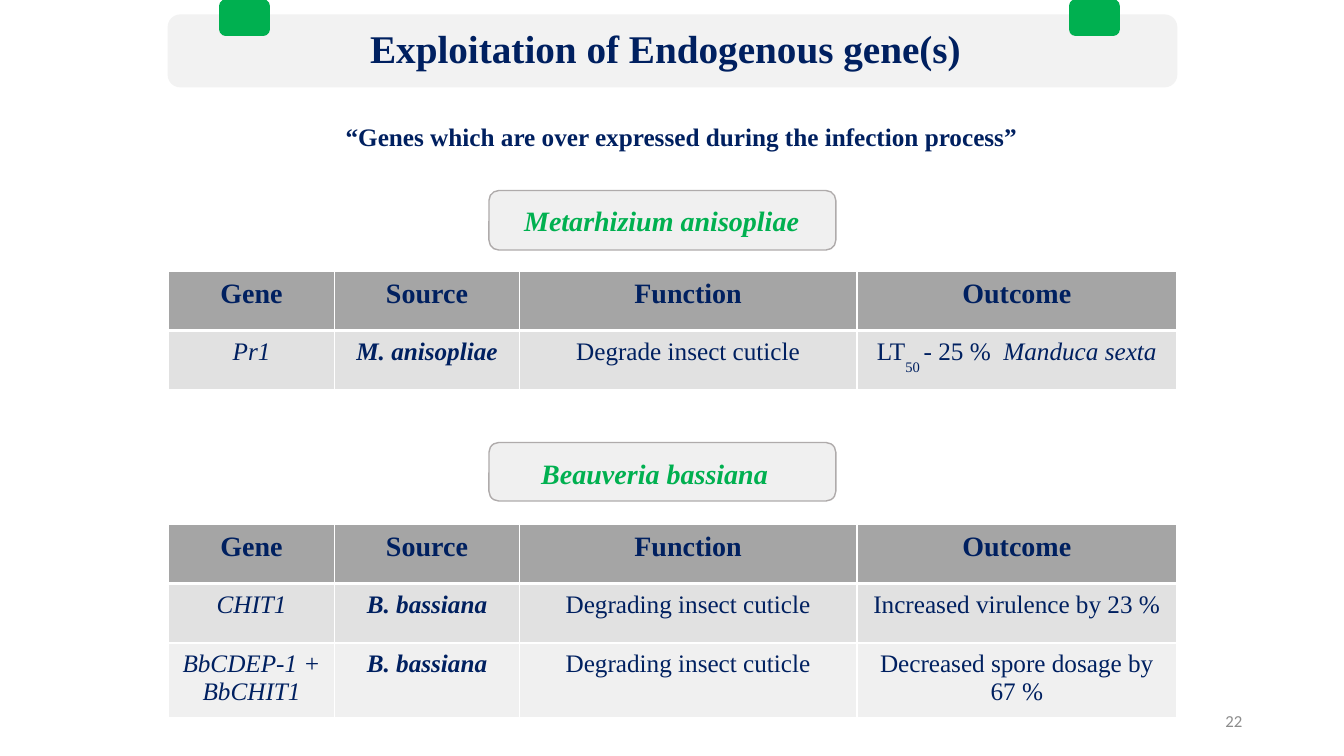
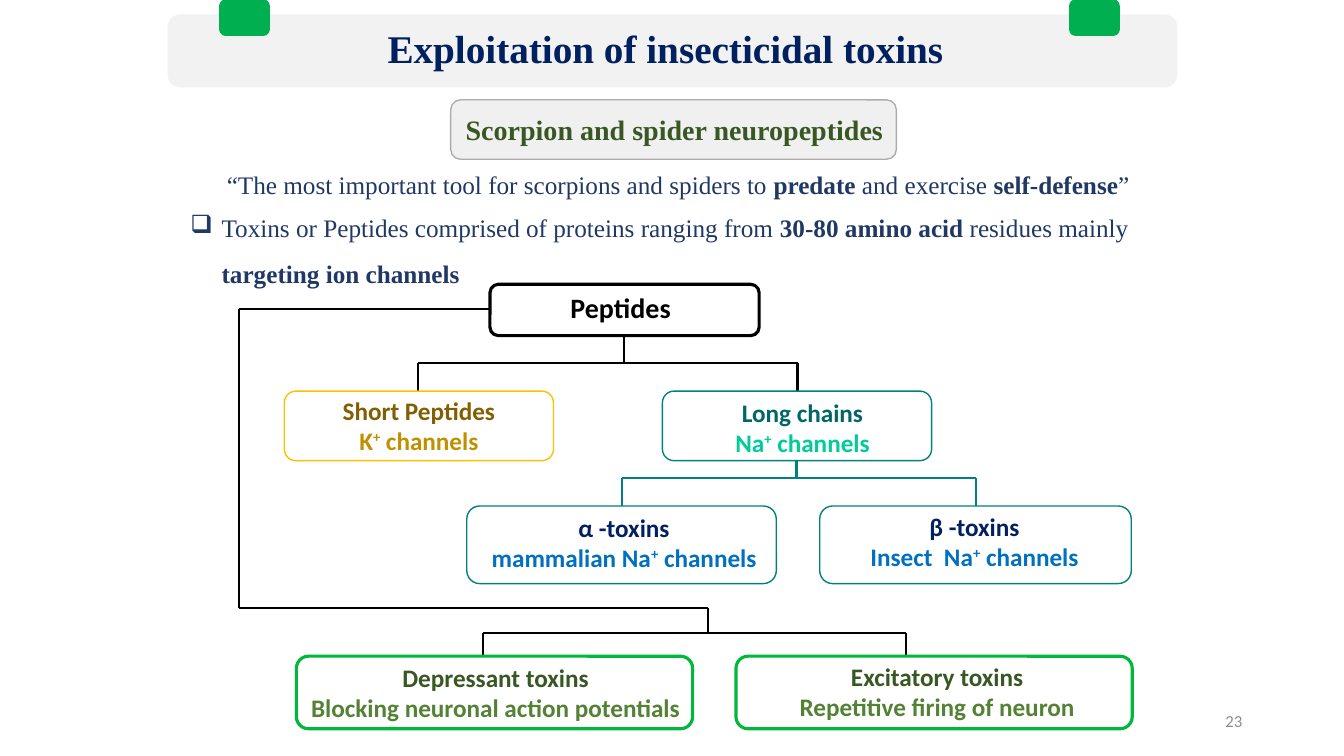
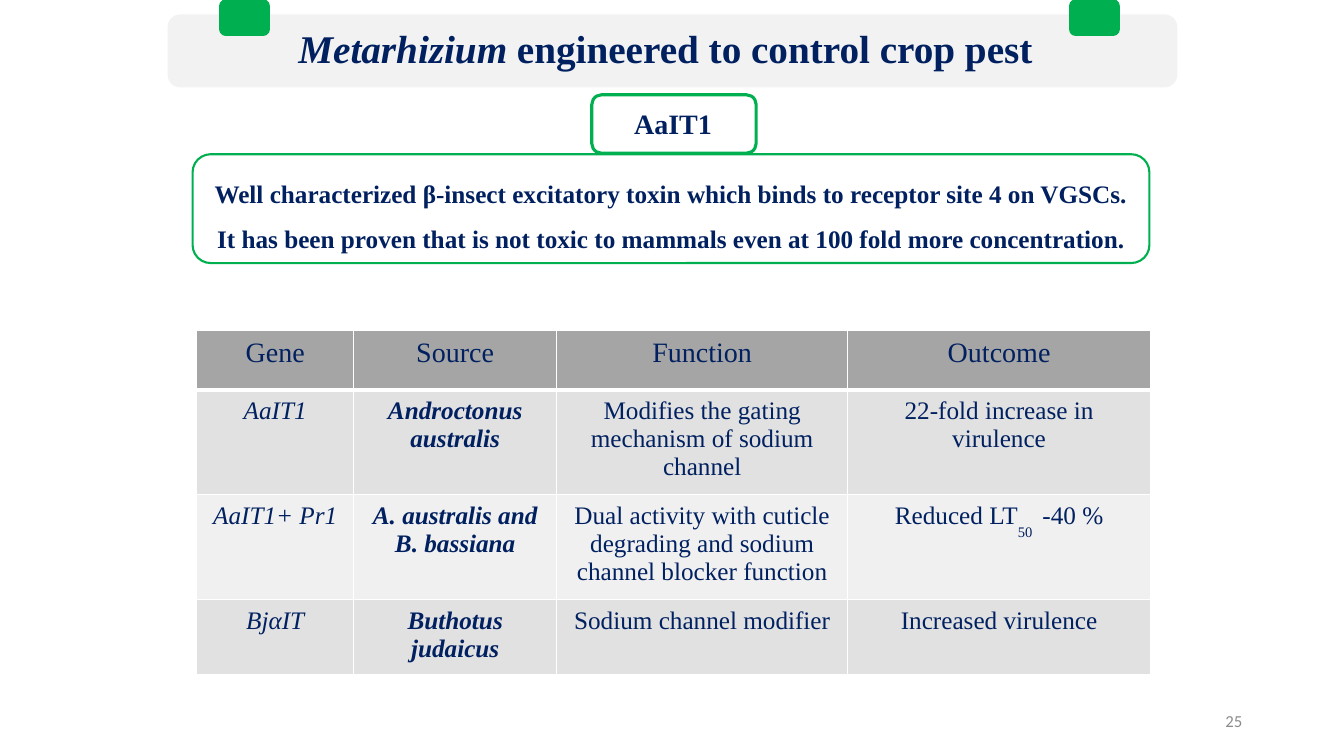
from lxml.etree import SubElement
from pptx import Presentation
from pptx.dml.color import RGBColor
from pptx.enum.shapes import MSO_CONNECTOR, MSO_SHAPE
from pptx.enum.text import MSO_ANCHOR, MSO_AUTO_SIZE, PP_ALIGN
from pptx.oxml.ns import qn
from pptx.util import Inches, Pt

SERIF, SANS = "Times New Roman", "Calibri"
BLACK = RGBColor(0x00, 0x00, 0x00)
NAVY = RGBColor(0x00, 0x20, 0x60)
SLATE = RGBColor(0x20, 0x38, 0x64)
BLUE = RGBColor(0x00, 0x70, 0xC0)
GREEN = RGBColor(0x00, 0xB0, 0x50)
BRIGHT_GREEN = RGBColor(0x00, 0xB8, 0x39)
DARK_GREEN = RGBColor(0x38, 0x57, 0x23)
LEAF = RGBColor(0x54, 0x82, 0x35)
TEAL = RGBColor(0x00, 0x80, 0x80)
DARK_TEAL = RGBColor(0x00, 0x66, 0x66)
MINT = RGBColor(0x00, 0xCC, 0x99)
AMBER = RGBColor(0xFF, 0xC0, 0x00)
GOLD = RGBColor(0xBF, 0x90, 0x00)
BROWN = RGBColor(0x80, 0x60, 0x00)
BAND = RGBColor(0xF2, 0xF2, 0xF2)
LABEL_FILL = RGBColor(0xF0, 0xF0, 0xF0)
LABEL_LINE = RGBColor(0xAF, 0xAB, 0xAB)
PAGE_GRAY = RGBColor(0x8C, 0x8C, 0x8C)
HEADER_FILL = RGBColor(0xA5, 0xA5, 0xA5)
ROW_FILLS = (RGBColor(0xE1, 0xE1, 0xE1), LABEL_FILL)

# Run marks: b bold, i italic, ^ superscript, _ subscript
BASELINES = {"^": "30000", "_": "-50000"}


def add_box(slide, place, fill, line, weight):
    shape = slide.shapes.add_shape(MSO_SHAPE.ROUNDED_RECTANGLE, *map(Inches, place))
    shape.shadow.inherit = False
    if fill is None:
        shape.fill.background()
    else:
        shape.fill.solid()
        shape.fill.fore_color.rgb = fill
    shape.line.color.rgb = line
    shape.line.width = Pt(weight)


def write_text(text_frame, paragraphs, size, colors, font=SERIF,
               align=PP_ALIGN.CENTER, spacing=None, wrap=True):
    """Write paragraphs of (text, marks) runs, with one colour per paragraph."""
    text_frame.word_wrap = wrap
    if not wrap:
        text_frame.auto_size = MSO_AUTO_SIZE.SHAPE_TO_FIT_TEXT
    for index, (runs, color) in enumerate(zip(paragraphs, colors)):
        paragraph = text_frame.add_paragraph() if index else text_frame.paragraphs[0]
        paragraph.alignment = align
        paragraph.line_spacing = spacing
        for text, marks in runs:
            run = paragraph.add_run()
            run.text = text
            run.font.name = font
            run.font.size = Pt(size)
            run.font.color.rgb = color
            run.font.bold = "b" in marks
            run.font.italic = "i" in marks
            for mark in BASELINES:
                if mark in marks:
                    run.font._element.set("baseline", BASELINES[mark])


presentation = Presentation()
presentation.slide_width = Inches(13.33)
presentation.slide_height = Inches(7.5)

# Shared band, tabs, title and page number
titles = [
    ("22", [("Exploitation of Endogenous gene(s)", "b")]),
    ("23", [("Exploitation of insecticidal toxins", "b")]),
    ("25", [("Metarhizium", "bi"), (" engineered to control crop pest", "b")]),
]
for page, title in titles:
    slide = presentation.slides.add_slide(presentation.slide_layouts[6])
    add_box(slide, (1.67, 0.15, 10, 0.71), BAND, BAND, 1)
    for left in (2.18, 10.61):
        add_box(slide, (left, 0, 0.49, 0.35), GREEN, GREEN, 1)
    title_box = slide.shapes.add_textbox(Inches(2.1), Inches(0.24), Inches(9), Inches(0.56))
    write_text(title_box.text_frame, [title], 28, [NAVY], spacing=0.9)
    page_box = slide.shapes.add_textbox(Inches(9.42), Inches(6.95), Inches(3), Inches(0.4))
    page_box.text_frame.vertical_anchor = MSO_ANCHOR.MIDDLE
    write_text(page_box.text_frame, [[(page, "")]], 12, [PAGE_GRAY], SANS, PP_ALIGN.RIGHT)
genes_slide, toxins_slide, pest_slide = presentation.slides

# Label boxes
labels = [
    (genes_slide, (4.85, 1.89, 3.44, 0.59), LABEL_FILL, LABEL_LINE, 1),
    (genes_slide, (4.85, 4.39, 3.44, 0.58), LABEL_FILL, LABEL_LINE, 1),
    (toxins_slide, (4.47, 0.99, 4.42, 0.59), LABEL_FILL, LABEL_LINE, 1),
    (pest_slide, (1.91, 1.53, 9.49, 1.08), None, GREEN, 1.5),
    (pest_slide, (5.87, 0.94, 1.63, 0.58), None, GREEN, 2.25),
]
for label in labels:
    add_box(*label)

# One-line headings
headings = [
    (genes_slide, (3.33, 1.15, 6.93, 0.4), 18, NAVY, "b",
     "“Genes which are over expressed during the infection process”"),
    (genes_slide, (5.1, 1.97, 2.94, 0.44), 20, GREEN, "bi", "Metarhizium anisopliae"),
    (genes_slide, (5.27, 4.48, 2.47, 0.44), 20, GREEN, "bi", "Beauveria bassiana"),
    (toxins_slide, (4.52, 1.07, 4.38, 0.44), 20, DARK_GREEN, "b",
     "Scorpion and spider neuropeptides"),
    (pest_slide, (6.19, 1.01, 0.98, 0.44), 20, NAVY, "b", "AaIT1"),
]
for slide, place, size, color, marks, text in headings:
    text_box = slide.shapes.add_textbox(*map(Inches, place))
    write_text(text_box.text_frame, [[(text, marks)]], size, [color],
               align=PP_ALIGN.LEFT, wrap=False)

# Tables
gene_widths = (1.65, 1.83, 3.35, 3.17)
tables = [
    (genes_slide, 1.67, 2.69, gene_widths, (0.59, 0.59), True, [
        ("Pr1", "M. anisopliae", "Degrade insect cuticle",
         [("LT", ""), ("50 ", "_"), ("- 25 %  ", ""), ("Manduca sexta", "i")]),
    ]),
    (genes_slide, 1.67, 5.2, gene_widths, (0.59, 0.59, 0.74), True, [
        ("CHIT1", "B. bassiana", "Degrading insect cuticle", "Increased virulence by 23 %"),
        ("BbCDEP-1 + BbCHIT1", "B. bassiana", "Degrading insect cuticle",
         "Decreased spore dosage by 67 %"),
    ]),
    (pest_slide, 1.95, 3.28, (1.56, 2.01, 2.89, 3), (0.59, 1.04, 1.04, 0.74), False, [
        ("AaIT1", "Androctonus australis", "Modifies the gating mechanism of sodium channel",
         "22-fold increase in virulence"),
        ("AaIT1+ Pr1", "A. australis and B. bassiana",
         "Dual activity with cuticle degrading and sodium channel blocker function",
         [("Reduced LT", ""), ("50 ", "_"), (" -40 %", "")]),
        ("BjαIT", "Buthotus judaicus", "Sodium channel modifier", "Increased virulence"),
    ]),
]
for slide, left, top, widths, heights, strong_header, body in tables:
    frame = slide.shapes.add_table(len(heights), len(widths), Inches(left), Inches(top),
                                   Inches(sum(widths)), Inches(sum(heights)))
    table = frame.table
    table.first_row = table.horz_banding = False
    for column, width in zip(table.columns, widths):
        column.width = Inches(width)
    rows = [("Gene", "Source", "Function", "Outcome")] + body
    for row_index, (height, values) in enumerate(zip(heights, rows)):
        table.rows[row_index].height = Inches(height)
        is_header = row_index == 0
        header_marks = "b" if strong_header else ""
        column_marks = (header_marks,) * 4 if is_header else ("i", "bi", "", "")
        top_weight = 3 if row_index == 1 and strong_header else 1
        borders = {"a:lnL": 1, "a:lnR": 1, "a:lnT": top_weight, "a:lnB": 3 if is_header else 1}
        for column_index, (value, marks) in enumerate(zip(values, column_marks)):
            cell = table.cell(row_index, column_index)
            cell.margin_left = cell.margin_right = Inches(0.14)
            cell.margin_top = cell.margin_bottom = Inches(0.07)
            for tag, weight in borders.items():
                border = SubElement(cell._tc.get_or_add_tcPr(), qn(tag), w=str(Pt(weight)))
                border_fill = SubElement(border, qn("a:solidFill"))
                SubElement(border_fill, qn("a:srgbClr"), val="FFFFFF")
            cell.fill.solid()
            cell.fill.fore_color.rgb = HEADER_FILL if is_header else ROW_FILLS[(row_index - 1) % 2]
            runs = [(value, marks)] if isinstance(value, str) else value
            write_text(cell.text_frame, [runs], 20 if is_header else 18, [NAVY])

# Toxins: quotation and bullet
quote_box = toxins_slide.shapes.add_textbox(Inches(1.79), Inches(1.48), Inches(9.87), Inches(0.56))
quote = [("“The most important tool for scorpions and spiders to ", ""), ("predate", "b"),
         (" and exercise ", ""), ("self-defense", "b"), ("”", "")]
write_text(quote_box.text_frame, [quote], 18, [SLATE], spacing=1.5)

bullet_box = toxins_slide.shapes.add_textbox(Inches(1.79), Inches(1.91), Inches(9.87), Inches(1.01))
bullet_properties = bullet_box.text_frame.paragraphs[0]._p.get_or_add_pPr()
bullet_properties.set("marL", str(Inches(0.31)))
bullet_properties.set("indent", str(-Inches(0.31)))
SubElement(bullet_properties, qn("a:buChar"), char="❑")
bullet = [("Toxins or Peptides comprised of proteins ranging from ", ""),
          ("30-80 amino acid ", "b"), ("residues mainly ", ""), ("targeting ion channels", "b")]
write_text(bullet_box.text_frame, [bullet], 18, [SLATE], align=PP_ALIGN.LEFT, spacing=1.5)

# Toxins: tree lines, as forks from a parent down to two children
segments = [
    (4.86, 3.07, 2.37, 3.07, BLACK),
    (2.37, 3.07, 2.37, 6.03, BLACK),
    (2.37, 6.03, 7.02, 6.03, BLACK),
]
forks = [
    (6.19, 3.33, 3.6, (4.15, 7.91), 3.88, BLACK),
    (7.9, 4.56, 4.74, (6.17, 9.68), 5.02, TEAL),
    (7.02, 6.03, 6.28, (4.79, 8.99), 6.51, BLACK),
]
for parent_x, parent_y, bar_y, child_xs, child_y, color in forks:
    segments.append((parent_x, parent_y, parent_x, bar_y, color))
    segments.append((child_xs[0], bar_y, child_xs[1], bar_y, color))
    segments += [(child_x, bar_y, child_x, child_y, color) for child_x in child_xs]
for *ends, color in segments:
    connector = toxins_slide.shapes.add_connector(MSO_CONNECTOR.STRAIGHT, *map(Inches, ends))
    connector.line.color.rgb = color
    connector.line.width = Pt(1.5)
    SubElement(connector._element.spPr, qn("a:effectLst"))

# Toxins: tree nodes
channels = [("+", "b^"), (" channels", "b")]
nodes = [
    ((4.86, 2.82, 2.67, 0.51), BLACK, 2.25, (5.55, 2.83, 1.21, 0.44), 20, (BLACK,),
     [[("Peptides", "b")]]),
    ((2.82, 3.88, 2.67, 0.69), AMBER, 1, (3.29, 3.87, 1.73, 0.71), 18, (BROWN, GOLD),
     [[("Short Peptides", "b")], [("K", "b")] + channels]),
    ((6.57, 3.88, 2.67, 0.69), TEAL, 1, (7.18, 3.89, 1.56, 0.71), 18, (DARK_TEAL, MINT),
     [[("Long chains", "b")], [("Na", "b")] + channels]),
    ((4.63, 5.02, 3.07, 0.77), TEAL, 1, (4.76, 5.03, 2.86, 0.71), 18, (NAVY, BLUE),
     [[("α -toxins", "b")], [("mammalian Na", "b")] + channels]),
    ((8.13, 5.02, 3.09, 0.77), TEAL, 1, (8.52, 5.02, 2.29, 0.71), 18, (NAVY, BLUE),
     [[("β -toxins", "b")], [("Insect  Na", "b")] + channels]),
    ((2.94, 6.51, 3.93, 0.72), BRIGHT_GREEN, 2.25, (2.97, 6.52, 3.89, 0.71), 18,
     (DARK_GREEN, LEAF),
     [[("Depressant toxins", "b")], [("Blocking neuronal action potentials", "b")]]),
    ((7.3, 6.51, 3.93, 0.72), BRIGHT_GREEN, 2.25, (7.79, 6.51, 3.01, 0.71), 18,
     (DARK_GREEN, LEAF),
     [[("Excitatory toxins", "b")], [("Repetitive firing of neuron", "b")]]),
]
for place, line, weight, text_place, size, colors, paragraphs in nodes:
    add_box(toxins_slide, place, None, line, weight)
    text_box = toxins_slide.shapes.add_textbox(*map(Inches, text_place))
    write_text(text_box.text_frame, paragraphs, size, colors, SANS, wrap=False)

# Pest: toxin description
description_box = pest_slide.shapes.add_textbox(Inches(1.91), Inches(1.57), Inches(9.49), Inches(1.01))
description = [
    [("Well characterized β-insect excitatory toxin which binds to receptor site 4 on VGSCs.", "b")],
    [("It has been proven that is not toxic to mammals even at 100 fold more concentration.", "b")],
]
write_text(description_box.text_frame, description, 18, (NAVY, NAVY), spacing=1.5)

presentation.save("out.pptx")
